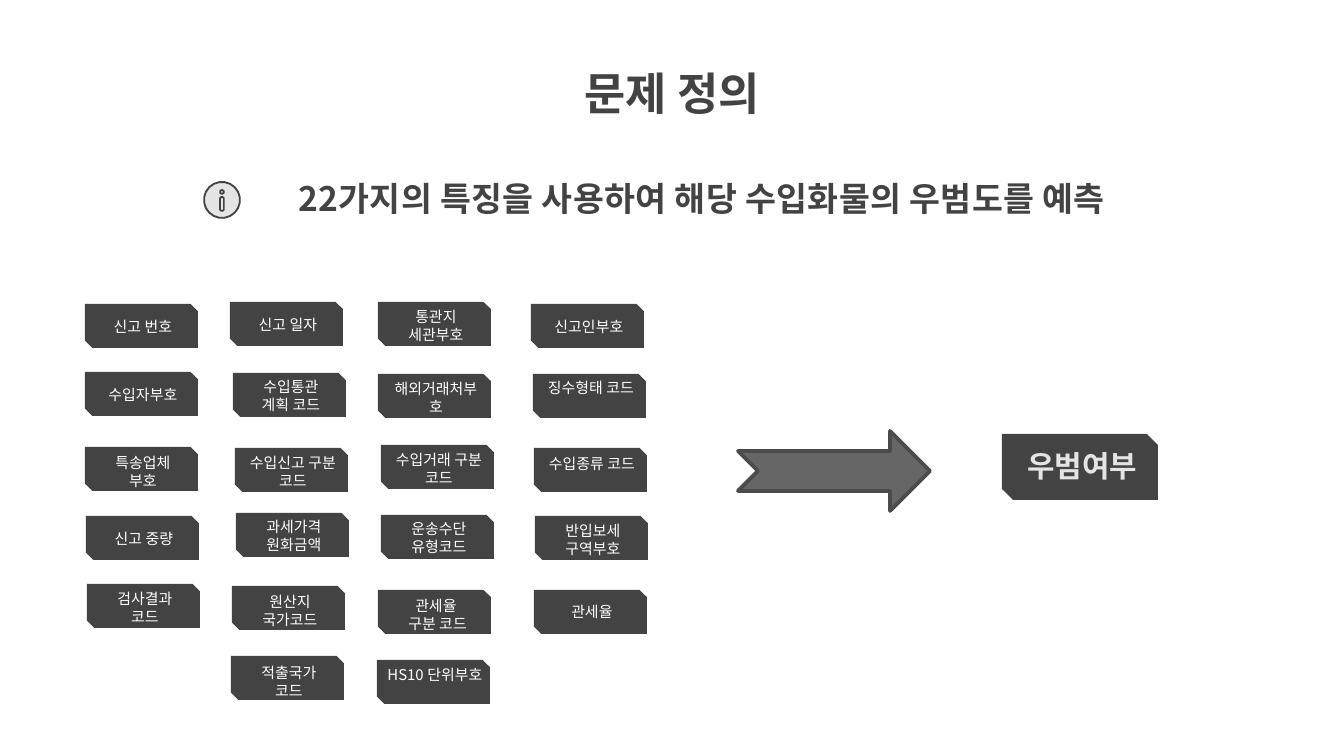
import math
from pptx import Presentation
from pptx import util as u
from pptx.dml.color import RGBColor
from pptx.enum import shapes, text

PX = 914400 / 134.4
FONT = "Noto Sans CJK KR"
INK = {"dark": "434343", "pale": "E4E4E4", "white": "FFFFFF",
       "arrow": "666666", "edge": "4B4B4B"}
CARDS = [
    (85, 304, 5, "신고 번호"), (230, 302, 5, "신고 일자"),
    (378, 302, -8, "통관지 세관부호"), (531, 304, 5, "신고인부호"),
    (85, 372, 5, "수입자부호"), (233, 373, -9, "수입통관\n계획 코드"),
    (378, 374, -8, "해외거래처부호"), (533, 374, -4, "징수형태 코드"),
    (85, 447, -7, "특송업체\n부호"), (235, 448, -8, "수입신고 구분 코드"),
    (381, 445, -8, "수입거래 구분 코드"), (534, 448, -2, "수입종류 코드"),
    (86, 516, 5, "신고 중량"), (236, 513, -9, "과세가격 원화금액"),
    (381, 515, -9, "운송수단 유형코드"), (535, 516, -8, "반입보세 구역부호"),
    (87, 584, -8, "검사결과\n코드"), (232, 586, -7, "원산지 국가코드"),
    (378, 590, -7, "관세율\n 구분 코드"), (534, 590, 4, "관세율"),
    (231, 656, -6, "적출국가\n코드"), (377, 660, -8, "HS10 단위부호"),
]


def emu(*nums):
    """Turn px into EMU."""
    return [u.Emu(round(n * PX)) for n in nums]


def paint(shape, fill, line=None, width=1):
    """Set the fill, line and shadow of a shape."""
    shape.shadow.inherit = False
    shape.fill.solid()
    shape.fill.fore_color.rgb = RGBColor.from_string(INK[fill])
    if line:
        shape.line.color.rgb = RGBColor.from_string(INK[line])
        shape.line.width = u.Pt(width)
    else:
        shape.line.fill.background()


def write(home, box, words, size, ink, bold=False, low=False):
    """Add a centred text box and return its frame."""
    frame = home.add_textbox(*emu(*box)).text_frame
    frame.word_wrap = True
    frame.margin_left = frame.margin_right = u.Inches(0.1)
    frame.margin_top = frame.margin_bottom = u.Inches(0.1)
    anchor = text.MSO_ANCHOR
    frame.vertical_anchor = anchor.BOTTOM if low else anchor.TOP
    frame.text = words
    for para in frame.paragraphs:
        para.alignment = text.PP_ALIGN.CENTER
        for run in para.runs:
            run.font.name = FONT
            run.font.size = u.Pt(size)
            run.font.bold = bold
            run.font.color.rgb = RGBColor.from_string(INK[ink])
            face = run.font._element.makeelement(
                "{http://schemas.openxmlformats.org/drawingml/2006/main}ea",
                {"typeface": FONT})
            run.font._element.append(face)
    return frame


def card(slide, box, label, words, size, ink, bold=False):
    """Group a snipped plate with its label, placed relative to the box."""
    x, y, w, h = box
    dx, dy, lw, lh = label
    group = slide.shapes.add_group_shape().shapes
    kind = shapes.MSO_SHAPE.SNIP_2_DIAG_RECTANGLE
    plate = group.add_shape(kind, *emu(x, y, w, h))
    plate.adjustments[0] = 0
    plate.adjustments[1] = 0.167
    paint(plate, "dark")
    write(group, (x + dx, y + dy, lw, lh), words, size, ink, bold)


def ring(x, y, r, count, half=0):
    """Give the points of a circle, stretched upright by half."""
    turns = [math.tau * (k + 0.5) / count for k in range(count)]
    return [(round(100 * (x + r * math.cos(t))),
             round(100 * (y + r * math.sin(t) + math.copysign(half, math.sin(t)))))
            for t in turns]


def icon(slide, x, y, size):
    """Draw the info sign as one outline with two holes."""
    mid, r = x + size / 2, size / 2
    disc = ring(mid, y + r, r, 20)
    pen = slide.shapes.build_freeform(*disc[0], scale=PX / 100)
    pen.add_line_segments(disc[1:], close=True)
    for hole in (ring(mid, y + 10, 2, 6), ring(mid, y + 22, 2, 8, 5)):
        pen.move_to(*hole[0])
        pen.add_line_segments(hole[1:], close=True)
    paint(pen.convert_to_shape(), "pale", "dark")


def head(slide, x, y):
    """Place the title, the info sign and the headline."""
    write(slide.shapes, (x, y, 766, 138), "문제 정의", 24, "dark", True)
    frame = write(slide.shapes, (x - 67, y + 117, 937, 63),
                  "22가지의 특징을 사용하여 해당 수입화물의 우범도를 예측",
                  18, "dark", True, True)
    para = frame.paragraphs[0]
    props = para._p.get_or_add_pPr()
    props.set("marL", str(u.Inches(0.5)))
    props.set("indent", str(u.Inches(-0.33)))
    para.runs[0].font._element.set("spc", "20")
    icon(slide, x - 85, y + 130, 36)


def grid(slide):
    """Place the feature cards."""
    for x, y, dy, words in CARDS:
        card(slide, (x, y, 113, 44), (-3, dy, 122, 38), words, 8, "white")


def goal(slide, x, y):
    """Place the arrow and the predicted value."""
    arrow = slide.shapes.add_shape(shapes.MSO_SHAPE.NOTCHED_RIGHT_ARROW,
                                   *emu(x, y, 192, 80))
    paint(arrow, "arrow", "edge", 2)
    card(slide, (x + 264, y + 3, 156, 66), (-4, 0, 169, 55),
         "우범여부", 16, "pale", True)


def main():
    """Build and save the slide."""
    deck = Presentation()
    deck.slide_width, deck.slide_height = emu(1344, 756)
    slide = deck.slides.add_slide(deck.slide_layouts[6])
    head(slide, 289, 52)
    grid(slide)
    goal(slide, 738, 431)
    deck.save("out.pptx")


if __name__ == "__main__":
    main()
